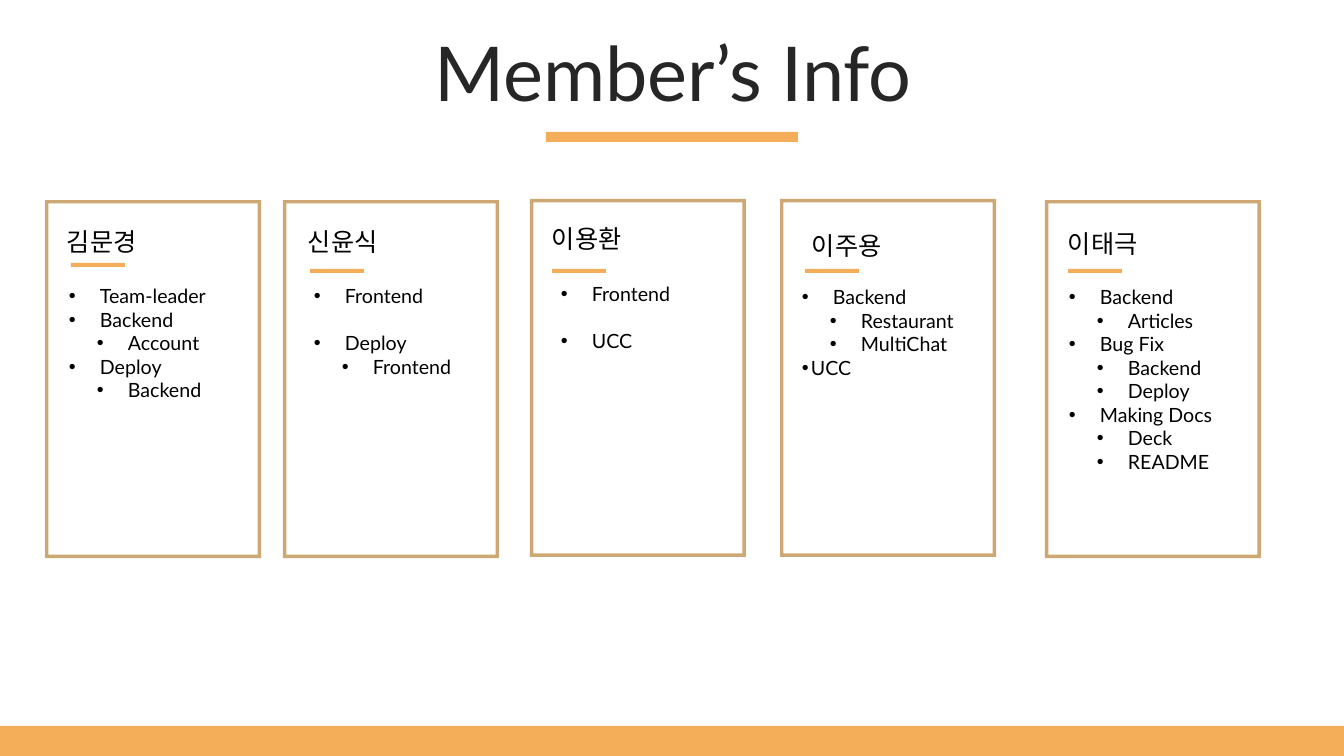
"""Build the team members slide with five framed role cards."""
from lxml import etree
from pptx import Presentation
from pptx.dml.color import RGBColor
from pptx.enum.shapes import MSO_SHAPE as SHAPE
from pptx.enum.text import MSO_ANCHOR as ANCHOR, PP_ALIGN as ALIGN
from pptx.oxml.ns import qn
from pptx.util import Emu, Pt

TITLE = "Member’s Info"
FONT = "Lato"
COLORS = {"accent": "F4AE59", "frame": "CDA874", "title": "262626", "text": "000000"}
MARGINS = {"role": 31, "detail": 59, "tight": 9}
HANGING = 31
LINE_GAP = 17
FRAME_SIZE = (216, 358)
RULE_SIZE = (54, 4)
BARS = [(546, 132, 252, 10), (0, 726, 1344, 30)]

MEMBERS = [
    {"name": "김문경", "card": (45, 200), "rule": (71, 263),
     "label": (57, 221, 159, 40), "list": (59, 279, 195, 159),
     "roles": [("role", "Team-leader", 0), ("role", "Backend", 0), ("detail", "Account", 0),
               ("role", "Deploy", 0), ("detail", "Backend", 0)]},
    {"name": "신윤식", "card": (283, 200), "rule": (310, 269),
     "label": (298, 221, 104, 40), "list": (304, 279, 158, 105),
     "roles": [("role", "Frontend", 0), ("role", "Deploy", LINE_GAP),
               ("detail", "Frontend", 0)]},
    {"name": "이용환", "card": (530, 199), "rule": (552, 269),
     "label": (542, 218, 173, 40), "list": (551, 277, 168, 112),
     "roles": [("role", "Frontend", 0), ("role", "UCC", LINE_GAP)]},
    {"name": "이주용", "card": (780, 199), "rule": (805, 269),
     "label": (802, 225, 126, 40), "list": (792, 280, 198, 105),
     "roles": [("role", "Backend", 0), ("detail", "Restaurant", 0),
               ("detail", "MultiChat", 0), ("tight", "UCC", 0)]},
    {"name": "이태극", "card": (1045, 200), "rule": (1068, 269),
     "label": (1058, 223, 144, 40), "list": (1059, 280, 234, 201),
     "roles": [("role", "Backend", 0), ("detail", "Articles", 0), ("role", "Bug Fix", 0),
               ("detail", "Backend", 0), ("detail", "Deploy", 0), ("role", "Making Docs", 0),
               ("detail", "Deck", 0), ("detail", "README", 0)]},
]


def px(value):
    return Emu(round(value * 914400 / 100.8))


def add_block(slide, kind, box, color):
    shape = slide.shapes.add_shape(kind, *map(px, box))
    shape.shadow.inherit = False
    shape.fill.solid()
    shape.fill.fore_color.rgb = RGBColor.from_string(COLORS[color])
    shape.line.fill.background()
    return shape


def add_text_frame(slide, box):
    frame = slide.shapes.add_textbox(*map(px, box)).text_frame
    frame.word_wrap = True
    return frame


def add_run(paragraph, text, size, color="text"):
    run = paragraph.add_run()
    run.text = text
    run.font.name = FONT
    run.font.size = Pt(size)
    run.font.color.rgb = RGBColor.from_string(COLORS[color])


def add_bullet(paragraph, level):
    properties = paragraph._p.get_or_add_pPr()
    properties.set("marL", str(px(MARGINS[level])))
    properties.set("indent", str(-px(HANGING)))
    etree.SubElement(properties, qn("a:buFont")).set("typeface", "Arial")
    etree.SubElement(properties, qn("a:buChar")).set("char", "•")
    paragraph.level = int(level == "detail")


def add_member(slide, member):
    frame = add_block(slide, SHAPE.FRAME, member["card"] + FRAME_SIZE, "frame")
    frame.adjustments[0] = 0.016
    add_block(slide, SHAPE.RECTANGLE, member["rule"] + RULE_SIZE, "accent")
    label = add_text_frame(slide, member["label"])
    add_run(label.paragraphs[0], member["name"], 18)
    role_list = add_text_frame(slide, member["list"])
    for index, (level, text, gap) in enumerate(member["roles"]):
        paragraph = role_list.add_paragraph() if index else role_list.paragraphs[0]
        add_bullet(paragraph, level)
        if gap:
            paragraph.space_before = Pt(gap)
        add_run(paragraph, text, 14)


def main():
    presentation = Presentation()
    presentation.slide_width, presentation.slide_height = px(1344), px(756)
    slide = presentation.slides.add_slide(presentation.slide_layouts[6])
    for bar in BARS:
        add_block(slide, SHAPE.RECTANGLE, bar, "accent")
    title = add_text_frame(slide, (35, 37, 1276, 80))
    title.vertical_anchor = ANCHOR.MIDDLE
    paragraph = title.paragraphs[0]
    paragraph.alignment = ALIGN.CENTER
    paragraph.line_spacing = 0.9
    add_run(paragraph, TITLE, 54, "title")
    for member in MEMBERS:
        add_member(slide, member)
    presentation.save("out.pptx")


if __name__ == "__main__":
    main()
